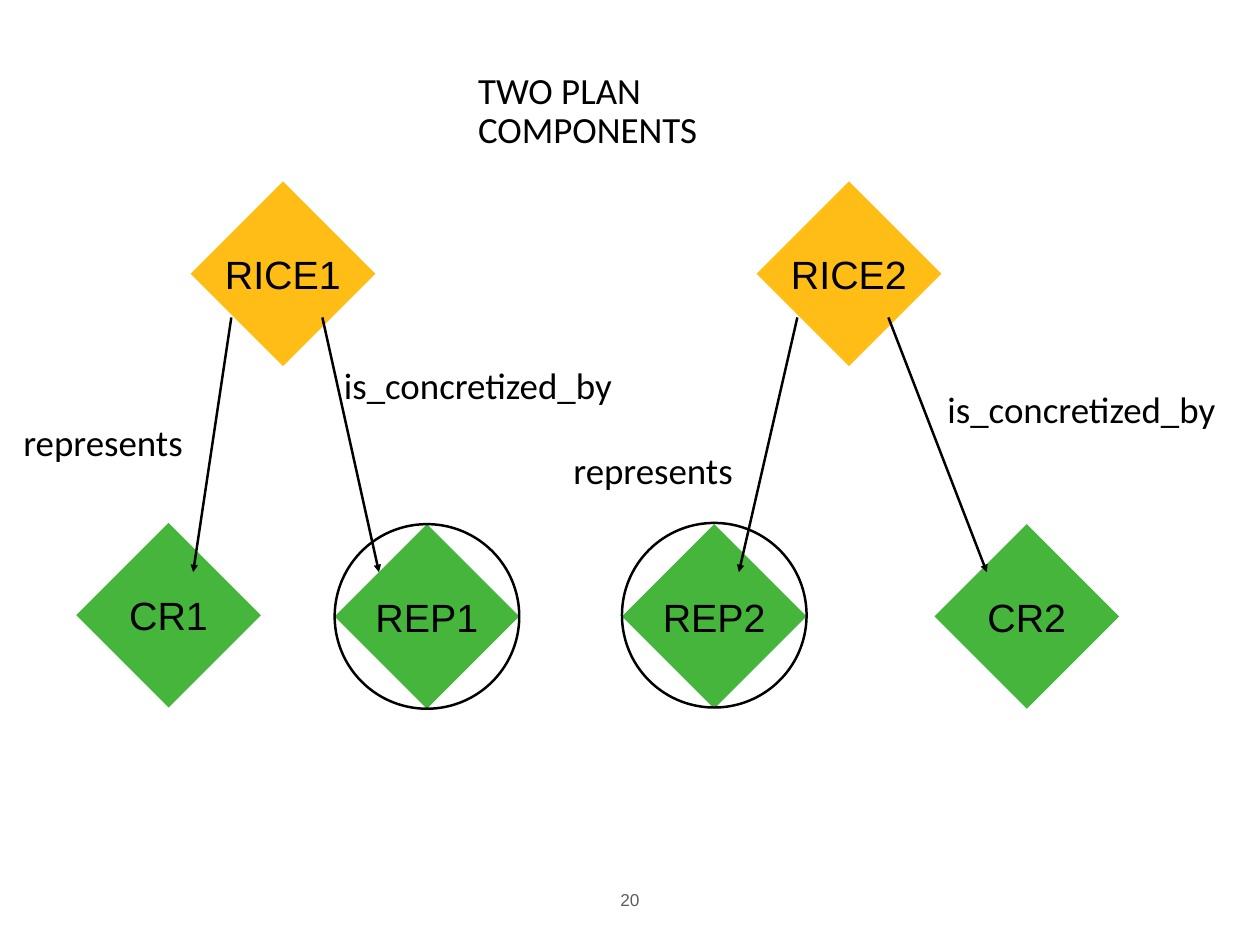
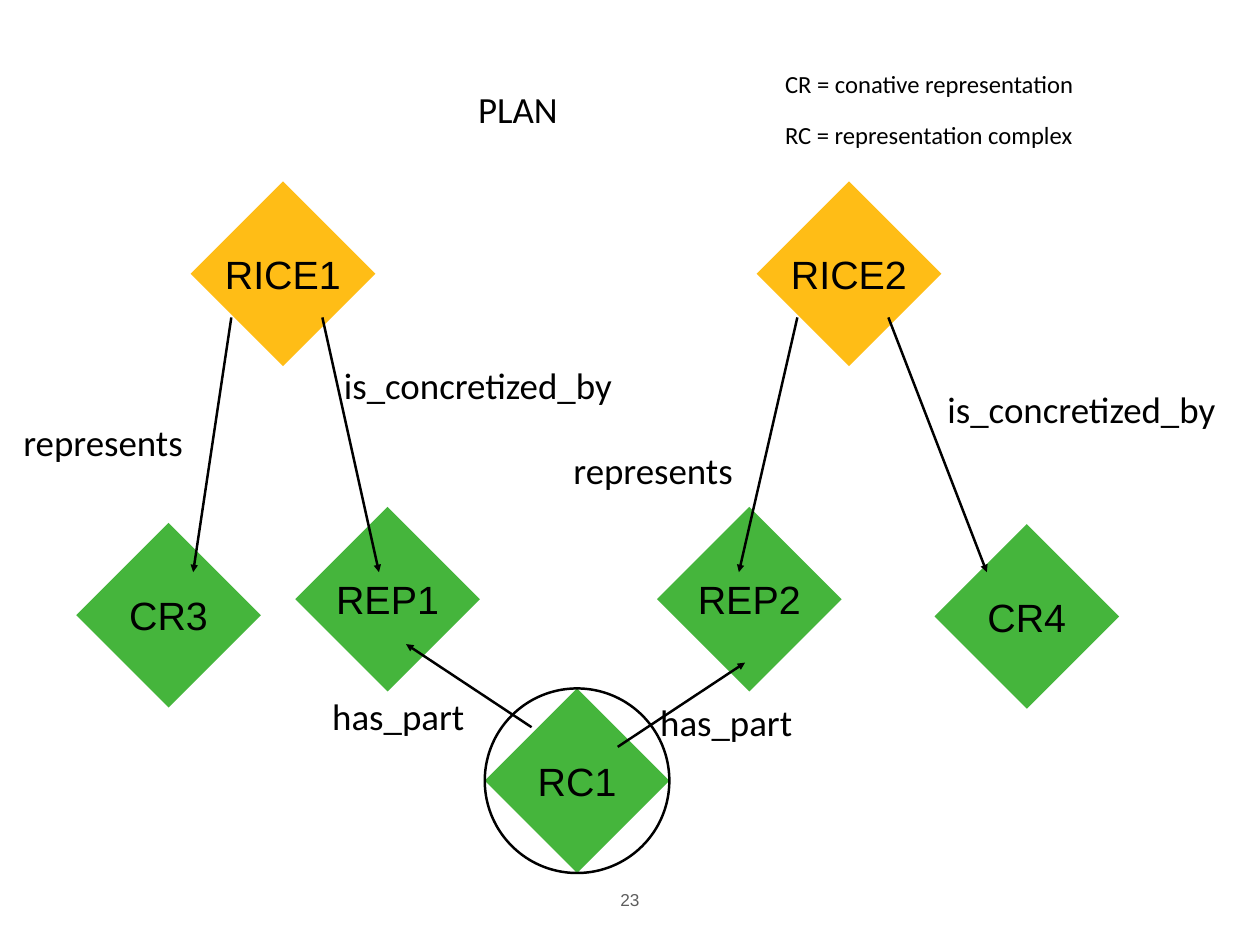
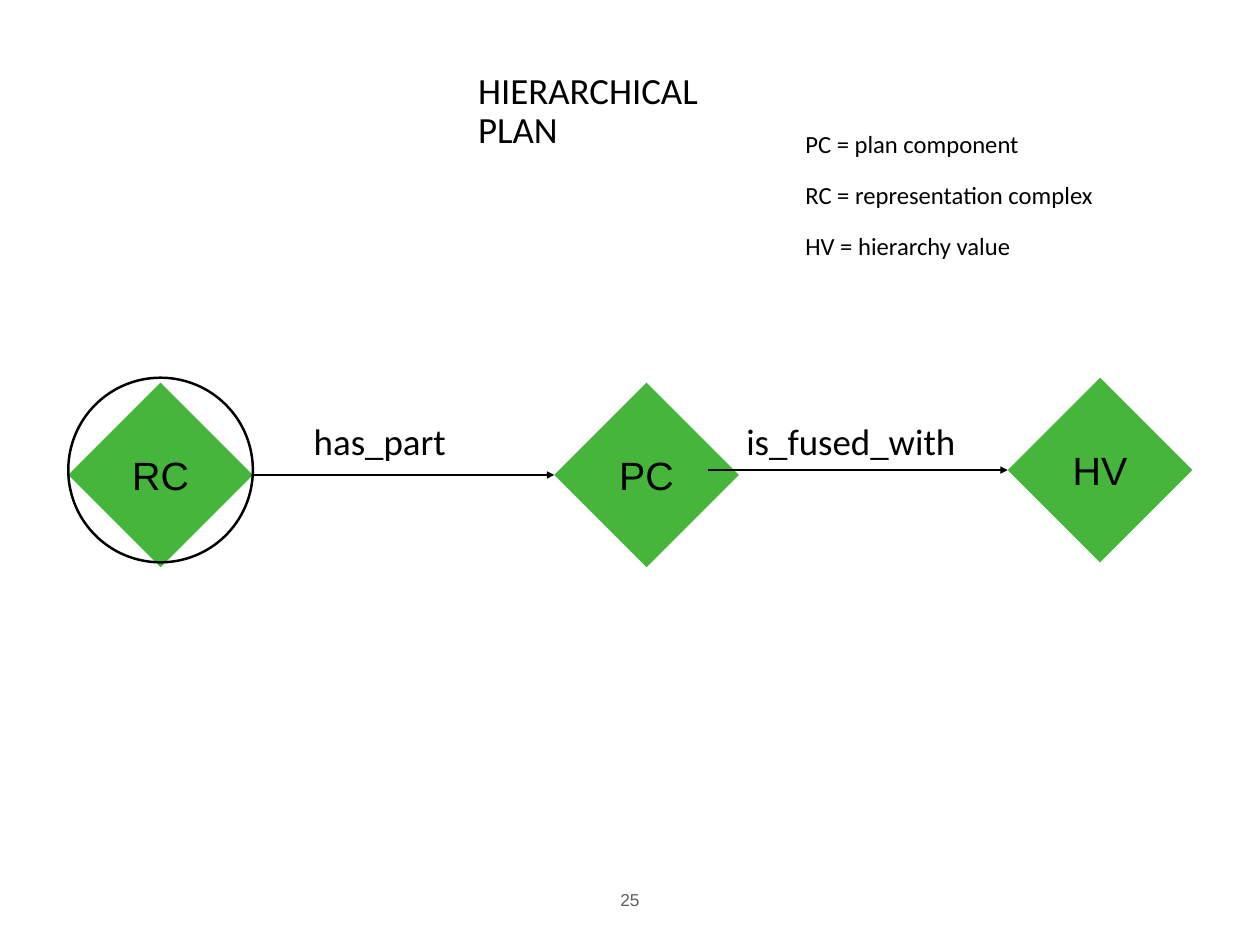
"""Build three plan diagrams of labelled diamonds joined by arrows."""
from pptx import Presentation
from pptx.dml.color import RGBColor
from pptx.enum.shapes import MSO_CONNECTOR as Connector, MSO_SHAPE as Preset
from pptx.enum.text import MSO_ANCHOR as Anchor, MSO_AUTO_SIZE as AutoSize, PP_ALIGN as Align
from pptx.oxml.ns import qn
from pptx.util import Pt
from lxml.etree import SubElement

COLORS = {"rice": "FFBD16", "entity": "45B53C", "ink": "000000", "number": "5E5E5E"}
WIDTH, HEIGHT = 1024, 768
NODE_SIZE = 150
LABEL_HEIGHT = 52.5
INSET = 4.5
LEFT_SIDE, RIGHT_SIDE = 1, 3
TITLE_BOX = (384, 44.5, 256, 93)
NUMBER_BOX = (499, 718, 26, 26)
LABEL_WIDTHS = {"represents": 152, "is_concretized_by": 254, "has_part": 127.5, "is_fused_with": 193}

RICE_NODES = [("RICE1", "rice", 155, 147.5), ("RICE2", "rice", 615, 147.5)]
RICE_ARROWS = [
    ((262, 258), (308, 465)),
    ((188, 258), (157, 465)),
    ((722, 258), (802, 465)),
    ((648, 258), (600.5, 465)),
]
RICE_LABELS = [
    ("is_concretized_by", 275, 289),
    ("represents", 14.5, 335),
    ("represents", 461.5, 358),
    ("is_concretized_by", 765.5, 308),
]

SLIDES = [
    {
        "title": "TWO PLAN COMPONENTS",
        "number": "20",
        "nodes": RICE_NODES + [
            ("CR1", "entity", 62, 425),
            ("REP1", "entity", 272, 426),
            ("REP2", "entity", 505.5, 426),
            ("CR2", "entity", 759.5, 426),
        ],
        "arrows": RICE_ARROWS,
        "labels": RICE_LABELS,
        "circles": [(505.5, 425), (272, 426)],
    },
    {
        "title": "PLAN",
        "number": "23",
        "nodes": RICE_NODES + [
            ("CR3", "entity", 62, 425),
            ("REP1", "entity", 240, 412),
            ("REP2", "entity", 534, 412),
            ("CR4", "entity", 759.5, 426),
            ("RC1", "entity", 394, 559.5),
        ],
        "arrows": RICE_ARROWS + [((502, 607), (605.5, 538.5)), ((432, 591), (330, 523.5))],
        "labels": RICE_LABELS + [("has_part", 265.5, 558), ("has_part", 532, 562.5)],
        "circles": [(394, 559.5)],
        "legend": ["CR = conative representation", "RC = representation complex"],
        "legend_box": (633.5, 48, 274.5, 85),
    },
    {
        "title": "HIERARCHICAL PLAN",
        "number": "25",
        "nodes": [
            ("PC", "entity", 450.5, 311),
            ("RC", "entity", 55.5, 311),
            ("HV", "entity", 819, 307),
        ],
        "arrows": [("RC", "PC"), ((575, 382), "HV")],
        "labels": [("is_fused_with", 602, 334), ("has_part", 250.5, 334)],
        "circles": [(55.5, 307)],
        "legend": ["PC = plan component", "RC = representation complex", "HV = hierarchy value"],
        "legend_box": (650, 93.5, 273, 132),
    },
]


def rgb(name):
    return RGBColor.from_string(COLORS[name])


def write(shape, lines, size, font="Calibri", color="ink", align=Align.LEFT,
          anchor=Anchor.MIDDLE, wrap=False, spaced=True):
    frame = shape.text_frame
    frame.margin_left = frame.margin_right = frame.margin_top = frame.margin_bottom = Pt(INSET)
    frame.vertical_anchor = anchor
    frame.word_wrap = wrap
    frame.text = "\n".join(lines)
    for paragraph in frame.paragraphs:
        paragraph.alignment = align
        paragraph.font.size = Pt(size)
        paragraph.font.name = font
        paragraph.font.color.rgb = rgb(color)
        if spaced:
            paragraph.line_spacing = 0.9
            paragraph.space_before = Pt(20)


def add_text(slide, box, lines, size, grow=True, **style):
    text = slide.shapes.add_textbox(*map(Pt, box))
    write(text, lines, size, **style)
    text.text_frame.auto_size = AutoSize.SHAPE_TO_FIT_TEXT if grow else AutoSize.NONE


def add_node(slide, name, kind, left, top):
    node = slide.shapes.add_shape(Preset.DIAMOND, Pt(left), Pt(top), Pt(NODE_SIZE), Pt(NODE_SIZE))
    node.shadow.inherit = False
    node.fill.solid()
    node.fill.fore_color.rgb = rgb(kind)
    node.line.fill.background()
    write(node, [name], 32, font="Arial", align=Align.CENTER, spaced=False)
    return node


def add_circle(slide, left, top):
    circle = slide.shapes.add_shape(Preset.OVAL, Pt(left), Pt(top), Pt(NODE_SIZE), Pt(NODE_SIZE))
    circle.shadow.inherit = False
    circle.fill.background()
    circle.line.color.rgb = rgb("ink")
    circle.line.width = Pt(2)


def add_arrow(slide, start, end, nodes):
    points = [(0, 0) if place in nodes else place for place in (start, end)]
    arrow = slide.shapes.add_connector(
        Connector.STRAIGHT, *(Pt(value) for point in points for value in point))
    if start in nodes:
        arrow.begin_connect(nodes[start], RIGHT_SIDE)
    if end in nodes:
        arrow.end_connect(nodes[end], LEFT_SIDE)
    arrow.line.color.rgb = rgb("ink")
    arrow.line.width = Pt(2)
    properties = arrow.element.spPr
    SubElement(properties.find(qn("a:ln")), qn("a:tailEnd"), type="triangle")
    SubElement(properties, qn("a:effectLst"))


def build_slide(deck, content):
    slide = deck.slides.add_slide(deck.slide_layouts[6])
    add_text(slide, TITLE_BOX, [content["title"]], 30, grow=False, wrap=True)
    nodes = {node[0]: add_node(slide, *node) for node in content["nodes"]}
    for start, end in content["arrows"]:
        add_arrow(slide, start, end, nodes)
    for label, left, top in content["labels"]:
        add_text(slide, (left, top, LABEL_WIDTHS[label], LABEL_HEIGHT), [label], 30)
    for left, top in content["circles"]:
        add_circle(slide, left, top)
    if "legend" in content:
        add_text(slide, content["legend_box"], content["legend"], 20)
    add_text(slide, NUMBER_BOX, [content["number"]], 14, font="Arial", color="number",
             align=Align.CENTER, anchor=Anchor.BOTTOM, spaced=False)


def main():
    deck = Presentation()
    deck.slide_width, deck.slide_height = Pt(WIDTH), Pt(HEIGHT)
    for content in SLIDES:
        build_slide(deck, content)
    deck.save("out.pptx")


if __name__ == "__main__":
    main()
